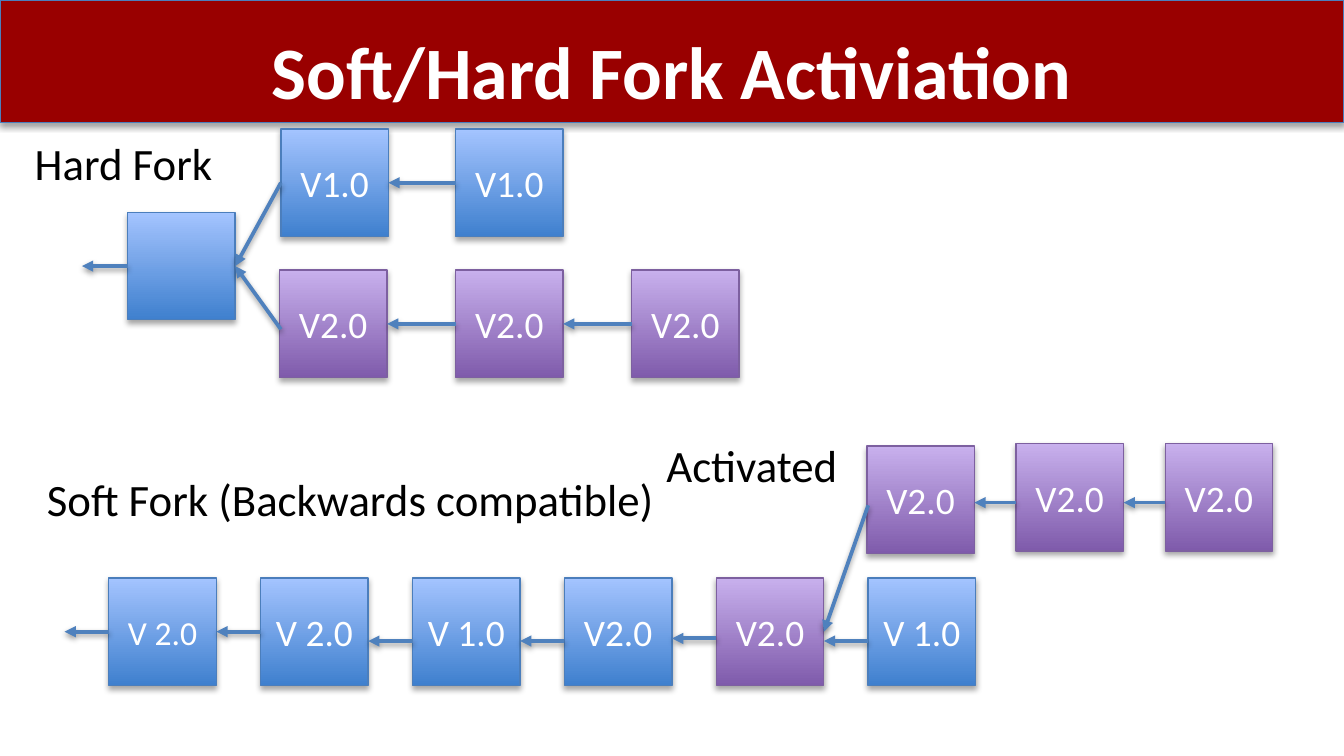
from lxml.etree import SubElement
from pptx import Presentation
from pptx.dml.color import RGBColor
from pptx.enum.shapes import MSO_CONNECTOR, MSO_SHAPE
from pptx.enum.text import MSO_ANCHOR, PP_ALIGN
from pptx.oxml.ns import qn
from pptx.util import Inches, Pt

WHITE = RGBColor(0xFF, 0xFF, 0xFF)
BLACK = RGBColor(0, 0, 0)
DARK_RED = RGBColor(0x99, 0, 0)
ARROW_BLUE = RGBColor(0x4F, 0x81, 0xBD)
BLUE_EDGE = RGBColor(0x4B, 0x7E, 0xBC)
PURPLE_EDGE = RGBColor(0x7D, 0x60, 0xA0)

# Bottom colour, top colour, outline
BLUE = (RGBColor(0x3F, 0x80, 0xCE), RGBColor(0xA4, 0xC4, 0xFF), BLUE_EDGE)
PURPLE = (RGBColor(0x7F, 0x5B, 0xAB), RGBColor(0xC8, 0xB0, 0xED), PURPLE_EDGE)

FONT = "Calibri"
SLIDE_WIDTH = 10
SLIDE_HEIGHT = SLIDE_WIDTH * 9 / 16
BLOCK = 0.8

TITLE = "Soft/Hard Fork Activiation"

# Text, left, top, width
CAPTIONS = [
    ("Hard Fork", 0.16, 0.96, 2.09),
    ("Soft Fork (Backwards compatible)", 0.25, 3.46, 5.11),
    ("Activated", 4.86, 3.21, 1.51),
]

# Left, top, pitch, blocks; a block is label, colours, size, height of the
# arrow at its left (None where a branch begins)
CHAINS = [
    (0.95, 1.58, 1.14, [("", BLUE, 20, 1.98)]),
    (2.09, 0.96, 1.3, [("V1.0", BLUE, 20, None), ("V1.0", BLUE, 20, 1.36)]),
    (2.08, 2.01, 1.31, [("V2.0", PURPLE, 20, None), ("V2.0", PURPLE, 20, 2.41),
                        ("V2.0", PURPLE, 20, 2.41)]),
    (0.81, 4.3, 1.13, [("V 2.0", BLUE, 18, 4.7), ("V 2.0", BLUE, 20, 4.7),
                       ("V 1.0", BLUE, 20, 4.77), ("V2.0", BLUE, 20, 4.77),
                       ("V2.0", PURPLE, 20, 4.75), ("V 1.0", BLUE, 20, 4.77)]),
    (6.45, 3.32, 1.11, [("V2.0", PURPLE, 20, None)]),
    (7.56, 3.3, 1.11, [("V2.0", PURPLE, 20, 3.74), ("V2.0", PURPLE, 20, 3.74)]),
]

# Parent point and child point of each branch
BRANCHES = [
    ((1.75, 1.98), (2.09, 1.36)),
    ((1.75, 1.98), (2.09, 2.45)),
    ((6.13, 4.7), (6.46, 3.76)),
]


def add_shadow(shape, distance, opacity):
    effects = SubElement(shape._element.spPr, qn("a:effectLst"))
    shadow = SubElement(effects, qn("a:outerShdw"), blurRad=str(Pt(3.1)),
                        dist=str(Pt(distance)), dir="5400000", rotWithShape="0")
    colour = SubElement(shadow, qn("a:srgbClr"), val="000000")
    SubElement(colour, qn("a:alpha"), val=str(opacity * 1000))


def style_text(frame, text, size, colour, align=PP_ALIGN.LEFT, bold=False):
    frame.text = text
    paragraph = frame.paragraphs[0]
    paragraph.alignment = align
    font = paragraph.runs[0].font
    font.name, font.size, font.bold = FONT, Pt(size), bold
    font.color.rgb = colour


def add_box(slide, left, top, width, height, edge):
    box = slide.shapes.add_shape(MSO_SHAPE.RECTANGLE, Inches(left), Inches(top),
                                 Inches(width), Inches(height))
    box.line.color.rgb = edge
    box.line.width = Pt(0.75)
    add_shadow(box, 1.8, 35)
    return box


def add_block(slide, left, top, label, colours, size):
    bottom_colour, top_colour, edge = colours
    block = add_box(slide, left, top, BLOCK, BLOCK, edge)
    block.fill.gradient()
    block.fill.gradient_angle = 90
    for stop, colour in zip(block.fill.gradient_stops, (bottom_colour, top_colour)):
        stop.color.rgb = colour
    if label:
        block.text_frame.vertical_anchor = MSO_ANCHOR.MIDDLE
        style_text(block.text_frame, label, size, WHITE, PP_ALIGN.CENTER)


def add_arrow(slide, parent, child):
    """Draw a link whose arrowhead lies at the parent."""
    points = [Inches(value) for value in (*parent, *child)]
    arrow = slide.shapes.add_connector(MSO_CONNECTOR.STRAIGHT, *points)
    arrow.line.color.rgb = ARROW_BLUE
    arrow.line.width = Pt(2)
    outline = arrow._element.spPr.find(qn("a:ln"))
    SubElement(outline, qn("a:headEnd"), type="triangle")
    add_shadow(arrow, 1.6, 38)


def add_text(slide, left, top, width, height):
    box = slide.shapes.add_textbox(Inches(left), Inches(top),
                                   Inches(width), Inches(height))
    box.text_frame.word_wrap = True
    return box.text_frame


def main():
    prs = Presentation()
    prs.slide_width, prs.slide_height = Inches(SLIDE_WIDTH), Inches(SLIDE_HEIGHT)
    slide = prs.slides.add_slide(prs.slide_layouts[6])

    header = add_box(slide, 0, 0, SLIDE_WIDTH, 0.91, BLUE_EDGE)
    header.fill.solid()
    header.fill.fore_color.rgb = DARK_RED
    style_text(add_text(slide, 0.5, 0.14, 9, 0.68), TITLE, 39.6, WHITE,
               PP_ALIGN.CENTER, bold=True)

    for left, top, pitch, blocks in CHAINS:
        for column, (label, colours, size, arrow_y) in enumerate(blocks):
            x = left + column * pitch
            add_block(slide, x, top, label, colours, size)
            if arrow_y is not None:
                add_arrow(slide, (x - pitch + BLOCK, arrow_y), (x, arrow_y))

    for parent, child in BRANCHES:
        add_arrow(slide, parent, child)

    for caption, left, top, width in CAPTIONS:
        style_text(add_text(slide, left, top, width, 0.5), caption, 24, BLACK)

    prs.save("out.pptx")


if __name__ == "__main__":
    main()
